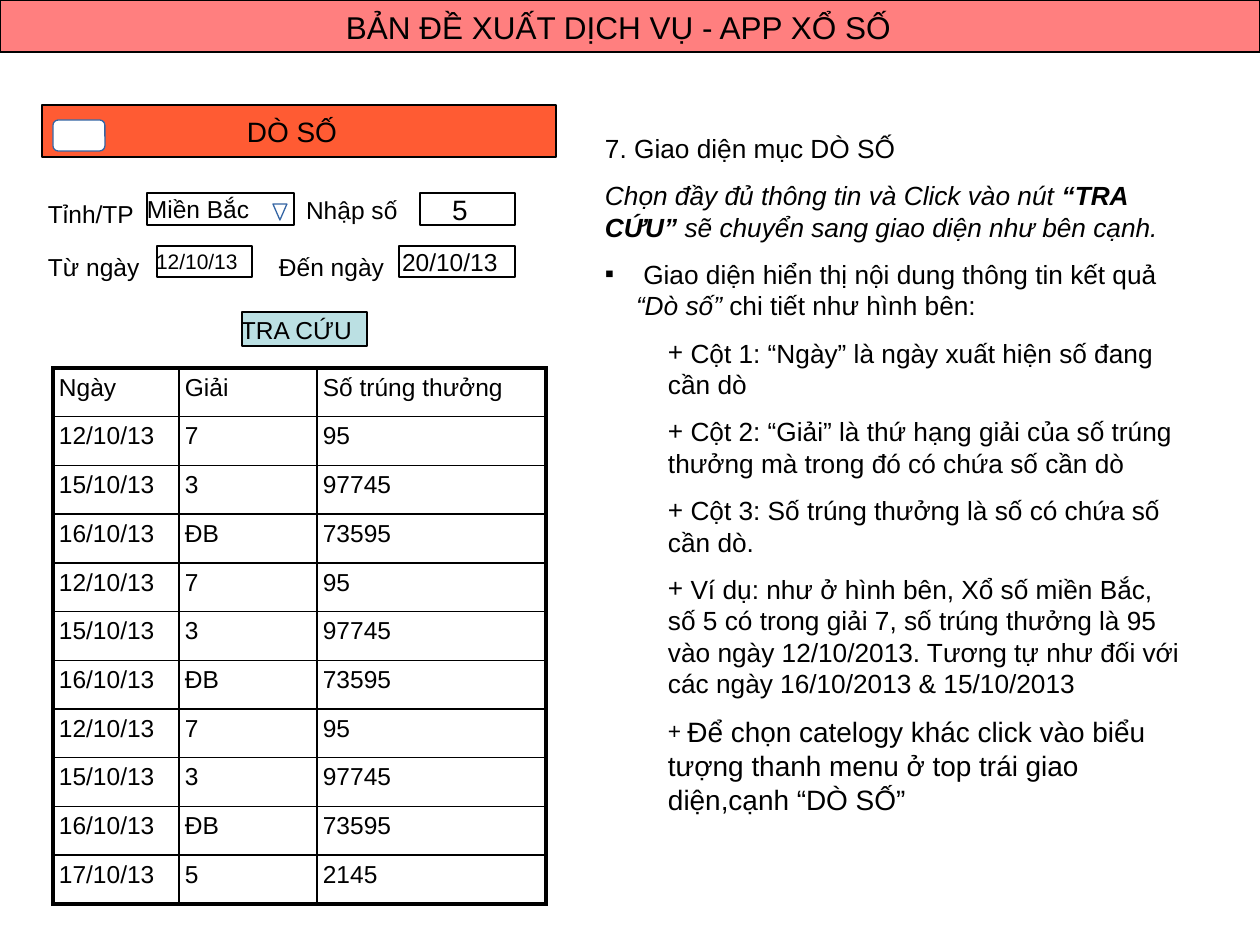
from lxml.etree import SubElement as Sub
from pptx import Presentation
from pptx.dml.color import RGBColor as RGB
from pptx.enum.shapes import MSO_SHAPE as Kind
from pptx.enum.text import MSO_ANCHOR as Anchor
from pptx.oxml.ns import qn
from pptx.util import Pt

THEME = {
    "font": "Arial", "ink": "000000", "paper": "FFFFFF", "icon": "3465A4",
    "button": "BBE0E3", "bar": "FF3300", "band": "FF0000",
    "tiny": 12, "dot": 13, "body": 14, "note": 15, "head": 16, "title": 18,
}
SCALE = 914400 // 126


class Page:
    """Draws styled elements on one slide, measured in pixels."""

    def __init__(self, theme, wide, high):
        self.theme = theme
        self.deck = Presentation()
        self.deck.slide_width, self.deck.slide_height = wide * SCALE, high * SCALE
        self.slide = self.deck.slides.add_slide(self.deck.slide_layouts[6])

    def tint(self, name):
        return RGB.from_string(self.theme[name])

    def put(self, item, **form):
        for key, value in form.items():
            setattr(item, key, value)

    def say(self, para, runs, size, space=0):
        para.space_before = Pt(space)
        for text, form in runs:
            run = para.add_run()
            run.text = text
            base = {"name": self.theme["font"], "size": Pt(self.theme[size])}
            self.put(run.font, **{**base, **form})
            run.font.color.rgb = self.tint("ink")

    def shape(self, area, fill="paper", line="ink", kind=Kind.RECTANGLE, alpha=None):
        item = self.slide.shapes.add_shape(kind, *[n * SCALE for n in area])
        item.shadow.inherit = False
        item.fill.solid()
        item.fill.fore_color.rgb = self.tint(fill)
        item.line.color.rgb = self.tint(line)
        item.line.width = Pt(0.75)
        if alpha:
            tone = item._element.spPr.find(qn("a:solidFill"))[0]
            Sub(tone, qn("a:alpha"), val=str(alpha * 1000))

    def frame(self, area, pad, right=None, **form):
        frame = self.slide.shapes.add_textbox(*[n * SCALE for n in area]).text_frame
        for side in ("left", "top", "right", "bottom"):
            setattr(frame, "margin_" + side, pad * SCALE)
        if right is not None:
            frame.margin_right = right * SCALE
        self.put(frame, word_wrap=True, **form)
        return frame

    def label(self, text, area, size="body", pad=0, space=0):
        form = {} if pad else {"vertical_anchor": Anchor.MIDDLE}
        frame = self.frame(area, pad, **form)
        self.say(frame.paragraphs[0], [(text, {})], size, space)

    def field(self, text, box, area, size="body", space=0, **form):
        self.shape(box, **form)
        self.label(text, area, size, space=space)

    def notes(self, area, items):
        frame = self.frame(area, 6, right=15)
        for i, (mark, left, hang, runs) in enumerate(items):
            para = frame.add_paragraph() if i else frame.paragraphs[0]
            self.say(para, runs, "note", 9)
            if mark:
                props = para._p.get_or_add_pPr()
                props.set("marL", str(left * SCALE))
                props.set("indent", str(hang * SCALE))
                Sub(props, qn("a:buFont"), typeface=self.theme["font"])
                Sub(props, qn("a:buChar"), char=mark)

    def edge(self, cell, tag, width):
        line = Sub(cell._tc.get_or_add_tcPr(), qn("a:" + tag), w=str(Pt(width)))
        fill = Sub(line, qn("a:solidFill"))
        Sub(fill, qn("a:srgbClr"), val=self.theme["ink"])

    def table(self, left, top, high, cols, rows):
        last, end = len(rows) - 1, len(cols) - 1
        area = [n * SCALE for n in (left, top, sum(cols), high)]
        grid = self.slide.shapes.add_table(len(rows), len(cols), *area).table
        self.put(grid, first_row=False, horz_banding=False)
        for col, wide in zip(grid.columns, cols):
            col.width = wide * SCALE
        for r, row in enumerate(rows):
            grid.rows[r].height = high * SCALE // len(rows)
            for c, text in enumerate(row):
                cell = grid.cell(r, c)
                for side in ("left", "top", "right", "bottom"):
                    setattr(cell, "margin_" + side, 6 * SCALE)
                self.say(cell.text_frame.paragraphs[0], [(text, {})], "body", 3)
                outer = {"lnL": c == 0, "lnR": c == end, "lnT": r == 0, "lnB": r == last}
                for tag, thick in outer.items():
                    self.edge(cell, tag, 2.25 if thick else 1)
                cell.fill.background()


page = Page(THEME, 1260, 945)

draws = [("12/10/13", "7", "95"), ("15/10/13", "3", "97745"), ("16/10/13", "ĐB", "73595")]
page.table(53, 368, 536, (126, 138, 229),
           [("Ngày", "Giải", "Số trúng thưởng"), *draws * 3, ("17/10/13", "5", "2145")])

page.field("Miền Bắc", (147, 193, 147, 32), (147, 189, 116, 40))
page.shape((273, 204, 14, 16), line="icon", kind=Kind.FLOWCHART_MERGE)
page.field("5", (420, 193, 95, 32), (452, 188, 30, 43), "head")
for text, left, top, wide in (
    ("Nhập số", 300, 189, 168), ("Tỉnh/TP", 42, 193, 126),
    ("Từ ngày", 42, 246, 126), ("Đến ngày", 273, 246, 126),
):
    page.label(text, (left, top, wide, 40), pad=6, space=8)
page.field("12/10/13", (157, 246, 95, 31), (156, 243, 96, 37), "tiny")
page.field("20/10/13", (399, 246, 116, 31), (402, 242, 110, 40))

slant, plain = {"italic": True}, {}
points = (
    "Cột 1: “Ngày” là ngày xuất hiện số đang cần dò",
    "Cột 2: “Giải” là thứ hạng giải của số trúng thưởng mà trong đó có chứa số cần dò",
    "Cột 3: Số trúng thưởng là số có chứa số cần dò.",
    "Ví dụ: như ở hình bên, Xổ số miền Bắc, số 5 có trong giải 7, số trúng thưởng là 95 "
    "vào ngày 12/10/2013. Tương tự như đối với các ngày 16/10/2013 & 15/10/2013",
)
menu = "Để chọn catelogy khác click vào biểu tượng thanh menu ở top trái giao diện,cạnh “DÒ SỐ”"
page.notes((599, 126, 598, 664), [
    ("", 0, 0, [("7. Giao diện mục DÒ SỐ", plain)]),
    ("", 0, 0, [("Chọn đầy đủ thông tin và Click vào nút", slant),
                (" “TRA CỨU” ", {"italic": True, "bold": True}),
                ("sẽ chuyển sang giao diện như bên cạnh.", slant)]),
    ("▪", 31, -31, [(" Giao diện hiển thị nội dung thông tin kết quả ", plain),
                    ("“Dò số”", slant), (" chi tiết như hình bên:", plain)]),
    *[("+", 63, 0, [(" " + text, plain)]) for text in points],
    ("+", 63, 0, [(" ", {"size": Pt(THEME["dot"])}), (menu, {"size": Pt(THEME["head"])})]),
])

page.field("TRA CỨU", (242, 312, 125, 34), (241, 310, 126, 40), fill="button")
page.field("DÒ SỐ", (42, 105, 514, 52), (247, 110, 105, 43), "head", 9, fill="bar", alpha=80)
page.shape((53, 120, 52, 31), line="icon", kind=Kind.ROUNDED_RECTANGLE)
page.field("BẢN ĐỀ XUẤT DỊCH VỤ - APP XỔ SỐ", (0, 0, 1260, 52), (346, 3, 567, 48),
           "title", fill="band", alpha=50)

page.deck.save("out.pptx")
